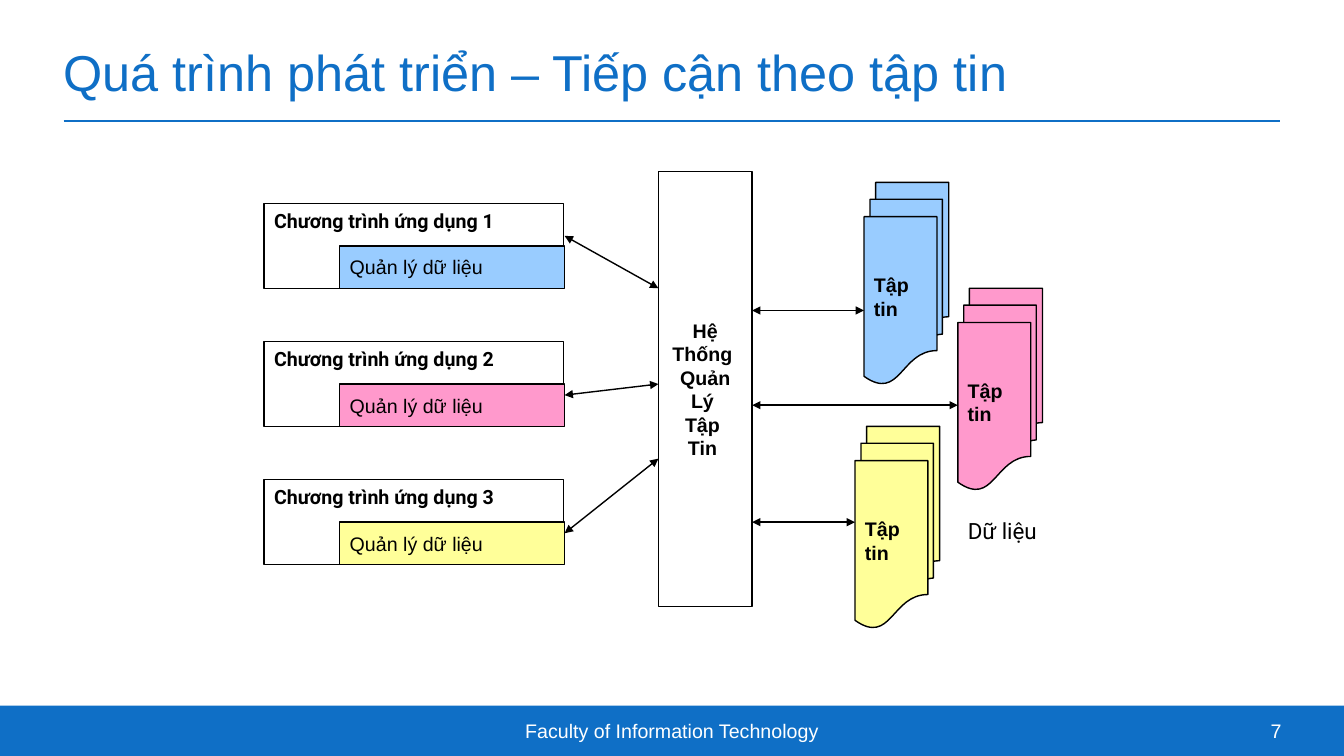
from dataclasses import dataclass

from lxml import etree
from pptx import Presentation
from pptx.dml.color import RGBColor
from pptx.enum.shapes import MSO_CONNECTOR, MSO_SHAPE
from pptx.enum.text import MSO_ANCHOR, MSO_AUTO_SIZE, PP_ALIGN
from pptx.oxml.ns import qn
from pptx.util import Inches, Pt


@dataclass(frozen=True)
class Theme:
    accent: str = "0F6FC6"
    ink: str = "000000"
    paper: str = "FFFFFF"
    blue: str = "99CCFF"
    pink: str = "FF99CC"
    yellow: str = "FFFF99"
    font: str = "Arial"
    label_font: str = "Roboto"
    title_size: int = 36
    caption_size: int = 16
    body_size: int = 14


theme = Theme()
deck = Presentation()
deck.slide_width, deck.slide_height = Inches(13.33), Inches(7.5)
page = deck.slides.add_slide(deck.slide_layouts[5])


def write(box, text, color=theme.ink, size=theme.body_size, font=theme.font, bold=False,
          align=PP_ALIGN.LEFT, anchor=MSO_ANCHOR.MIDDLE, wrap=False, inset=None):
    """Fill a shape with text in one format; inset, in inches, replaces all margins."""
    frame = box.text_frame
    frame.text = text
    frame.word_wrap = wrap
    frame.auto_size = MSO_AUTO_SIZE.NONE
    frame.vertical_anchor = anchor
    if inset is not None:
        frame.margin_left = frame.margin_right = Inches(inset)
        frame.margin_top = frame.margin_bottom = Inches(inset)
    for para in frame.paragraphs:
        para.alignment = align
        for span in para.runs:
            span.font.name, span.font.size, span.font.bold = font, Pt(size), bold
            span.font.color.rgb = RGBColor.from_string(color)


def draw(kind, left, top, width, height, fill=None, line=theme.ink):
    """Add a preset shape; a connector takes its start and end points instead."""
    place = [Inches(value) for value in (left, top, width, height)]
    if kind is MSO_CONNECTOR.STRAIGHT:
        shape = page.shapes.add_connector(kind, *place)
        etree.SubElement(shape.element.spPr, qn("a:effectLst"))
    else:
        shape = page.shapes.add_shape(kind, *place)
        shape.shadow.inherit = False
        if fill:
            shape.fill.solid()
            shape.fill.fore_color.rgb = RGBColor.from_string(fill)
        else:
            shape.fill.background()
    if line:
        shape.line.color.rgb = RGBColor.from_string(line)
        shape.line.width = Pt(1)
    else:
        shape.line.fill.background()
    return shape


# Title, rule and footer
title = page.shapes.title
title.left, title.top, title.width, title.height = map(Inches, (0.63, 0.23, 12.07, 0.96))
write(title, "Quá trình phát triển – Tiếp cận theo tập tin", theme.accent, theme.title_size,
      wrap=True, inset=0)
draw(MSO_CONNECTOR.STRAIGHT, 0.63, 1.2, 12.7, 1.2, line=theme.accent)
draw(MSO_SHAPE.RECTANGLE, 0, 7, 13.33, 0.5, theme.accent, line=None)
for text, left, width, align in (
    ("Faculty of Information Technology", 4.44, 4.45, PP_ALIGN.CENTER),
    ("7", 12, 0.71, PP_ALIGN.RIGHT),
):
    footer = page.shapes.add_textbox(Inches(left), Inches(7), Inches(width), Inches(0.5))
    write(footer, text, theme.paper, align=align, wrap=True, inset=0)

# File management system
system = draw(MSO_SHAPE.RECTANGLE, 6.53, 1.7, 0.93, 4.32)
write(system, "Hệ\nThống \nQuản\nLý \nTập \nTin ", bold=True, align=PP_ALIGN.CENTER)

# Application programs, each with its own data management
for index, color in enumerate((theme.blue, theme.pink, theme.yellow)):
    top = 2.02 + 1.37 * index
    draw(MSO_SHAPE.RECTANGLE, 2.62, top, 2.97, 0.84)
    name = page.shapes.add_textbox(Inches(2.62), Inches(top), Inches(3.07), Inches(0.42))
    write(name, f"Chương trình ứng dụng {index + 1}", font=theme.label_font, bold=True,
          anchor=MSO_ANCHOR.TOP, wrap=True)
    manager = draw(MSO_SHAPE.RECTANGLE, 3.37, top + 0.42, 2.23, 0.42, color)
    write(manager, "Quản lý dữ liệu")

# Data files
for left, top, color in (
    (9.5, 2.86, theme.pink),
    (8.57, 1.81, theme.blue),
    (8.48, 4.23, theme.yellow),
):
    files = draw(MSO_SHAPE.FLOWCHART_MULTIDOCUMENT, left, top, 0.84, 2, color)
    write(files, "Tập\ntin", bold=True)

# Two-way arrows: programs to system, then system to files
for ends in (
    (5.6, 2.34, 6.53, 2.86),
    (5.6, 3.92, 6.53, 3.81),
    (5.6, 5.29, 6.53, 4.55),
    (7.46, 3.08, 8.57, 3.08),
    (7.46, 4.02, 9.5, 4.02),
    (7.46, 5.18, 8.48, 5.18),
):
    arrow = draw(MSO_CONNECTOR.STRAIGHT, *ends)
    outline = arrow.element.spPr.find(qn("a:ln"))
    for tag in ("a:headEnd", "a:tailEnd"):
        etree.SubElement(outline, qn(tag), type="triangle")

caption = page.shapes.add_textbox(Inches(9.5), Inches(5.08), Inches(1.21), Inches(0.47))
write(caption, "Dữ liệu", size=theme.caption_size, font=theme.label_font,
      anchor=MSO_ANCHOR.TOP, wrap=True)

deck.save("out.pptx")
